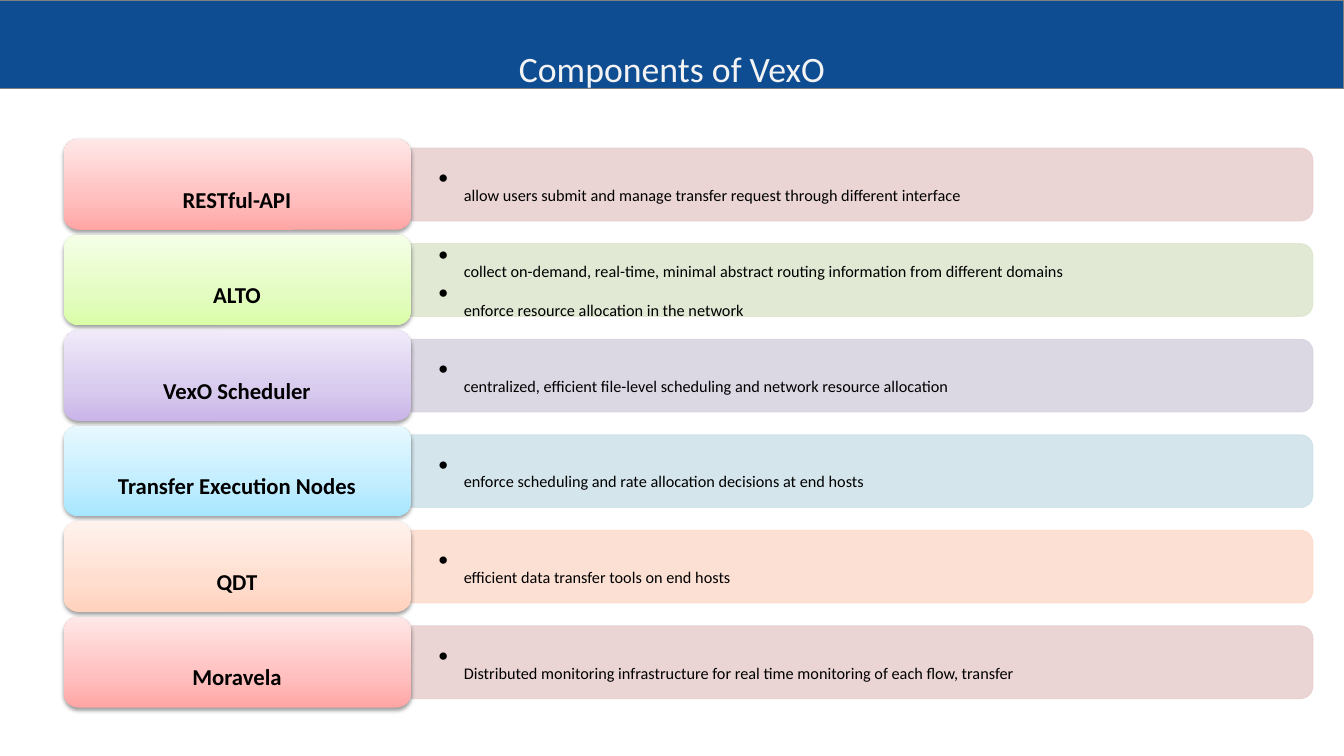
from dataclasses import dataclass

from lxml import etree
from pptx import Presentation, util as u
from pptx.dml.color import RGBColor
from pptx.enum import shapes, text
from pptx.oxml import ns


@dataclass(frozen=True)
class Theme:
    font: str = "Calibri"
    title_size: int = 44
    label_size: int = 28
    detail_size: int = 20
    title: str = "F3F3F3"
    ink: str = "000000"
    band: str = "0F4D92"
    band_line: str = "808080"
    red: tuple = ("E8D0D0", "FFA6A5", "FFC0BF", "FFE7E7")
    green: tuple = ("DEE7D1", "DAFDA7", "E4FCC2", "F5FFE7")
    purple: tuple = ("D8D3E0", "C9B5E8", "D8CBEE", "F0EAF9")
    blue: tuple = ("D0E3EA", "A7E6FF", "C1EDFF", "E7F8FF")
    orange: tuple = ("FCDDCF", "FFD2BD", "FFDED0", "FFF2ED")


def add(parent, tag, **attrs):
    return etree.SubElement(parent, ns.qn(tag), {k: str(v) for k, v in attrs.items()})


def write(p, content, *, font, size, color, bold=False, align=None,
          spacing=None, after=None, bullet=False):
    p.alignment = align
    if spacing:
        p.line_spacing = spacing
    pPr = p._p.get_or_add_pPr()
    if after:
        add(add(pPr, "a:spcAft"), "a:spcPct", val=after * 1000)
    if bullet:
        p.level = 1
        pPr.set("marL", str(u.Inches(0.25)))
        pPr.set("indent", str(u.Inches(-0.25)))
        add(pPr, "a:buChar", char="•")
    r = p.add_run()
    r.text = content
    r.font.name = font
    r.font.size = u.Pt(size)
    r.font.bold = bold
    r.font.color.rgb = RGBColor.from_string(color)
    r.font._element.set("baseline", "-25000")


class Deck:
    def __init__(self, theme):
        self.theme = theme
        self.prs = Presentation()
        self.prs.slide_width = u.Inches(13.33)
        self.prs.slide_height = u.Inches(7.5)
        self.s = self.prs.slides.add_slide(self.prs.slide_layouts[6])

    def shape(self, kind, box):
        sp = self.s.shapes.add_shape(kind, *map(u.Inches, box))
        sp.shadow.inherit = False
        return sp

    def solid(self, kind, box, fill, line, alpha=None):
        sp = self.shape(kind, box)
        sp.fill.solid()
        sp.fill.fore_color.rgb = RGBColor.from_string(fill)
        sp.line.color.rgb = RGBColor.from_string(line)
        sp.line.width = u.Pt(0.75)
        if alpha:
            for clr in sp._element.spPr.iter(ns.qn("a:srgbClr")):
                add(clr, "a:alpha", val=alpha * 1000)
        return sp

    def text(self, box, lines, size, color, insets=(0.1, 0.05),
             anchor=text.MSO_ANCHOR.MIDDLE, **fmt):
        tf = self.s.shapes.add_textbox(*map(u.Inches, box)).text_frame
        tf.word_wrap = True
        tf.vertical_anchor = anchor
        tf.margin_left = tf.margin_right = u.Inches(insets[0])
        tf.margin_top = tf.margin_bottom = u.Inches(insets[1])
        for i, line in enumerate(lines):
            p = tf.add_paragraph() if i else tf.paragraphs[0]
            write(p, line, font=self.theme.font, size=size, color=color, **fmt)
        return tf

    def title(self, content):
        t = self.theme
        self.solid(shapes.MSO_SHAPE.RECTANGLE, (0, 0, 13.33, 0.88), t.band, t.band_line)
        tf = self.text((0, 0.01, 13.33, 0.84), [content], t.title_size, t.title,
                       anchor=text.MSO_ANCHOR.TOP, align=text.PP_ALIGN.CENTER)
        tf.auto_size = text.MSO_AUTO_SIZE.SHAPE_TO_FIT_TEXT

    def bar(self, middle, color, details):
        left, width, height = 4.08, 8.94, 0.72
        sp = self.solid(shapes.MSO_SHAPE.ROUND_2_SAME_RECTANGLE,
                        (left + (width - height) / 2, middle - width / 2, height, width),
                        color, color, alpha=90)
        sp.rotation = 90
        self.text((left, middle - 0.33, 8.91, 0.65), details, self.theme.detail_size,
                  self.theme.ink, insets=(0.27, 0.14), spacing=0.9, after=15, bullet=True)

    def label(self, middle, stops, content):
        sp = self.shape(shapes.MSO_SHAPE.ROUNDED_RECTANGLE, (0.63, middle - 0.45, 3.45, 0.9))
        sp.line.fill.background()
        spPr = sp._element.spPr
        grad = etree.Element(ns.qn("a:gradFill"), rotWithShape="1")
        gs_list = add(grad, "a:gsLst")
        for pos, color in zip((0, 35, 100), stops):
            add(add(gs_list, "a:gs", pos=pos * 1000), "a:srgbClr", val=color)
        add(grad, "a:lin", ang=270 * 60000, scaled=1)
        spPr.find(ns.qn("a:prstGeom")).addnext(grad)
        shadow = add(spPr.find(ns.qn("a:effectLst")), "a:outerShdw", blurRad=u.Pt(3.1),
                     dist=u.Pt(1.6), dir=90 * 60000, rotWithShape=0)
        add(add(shadow, "a:srgbClr", val=self.theme.ink), "a:alpha", val=38000)
        self.text((0.67, middle - 0.41, 3.36, 0.81), [content], self.theme.label_size,
                  self.theme.ink, insets=(0.12, 0.06), bold=True,
                  align=text.PP_ALIGN.CENTER, spacing=0.9, after=35)


def main():
    t = Theme()
    deck = Deck(t)
    deck.title("Components of VexO")
    components = [
        ("RESTful-API", t.red,
         ["allow users submit and manage transfer request through different interface"]),
        ("ALTO", t.green,
         ["collect on-demand, real-time, minimal abstract routing information from different domains",
          "enforce resource allocation in the network"]),
        ("VexO Scheduler", t.purple,
         ["centralized, efficient file-level scheduling and network resource allocation"]),
        ("Transfer Execution Nodes", t.blue,
         ["enforce scheduling and rate allocation decisions at end hosts"]),
        ("QDT", t.orange, ["efficient data transfer tools on end hosts"]),
        ("Moravela", t.red,
         ["Distributed monitoring infrastructure for real time monitoring of each flow, transfer"]),
    ]
    first, last = 1.83, 6.57
    pitch = (last - first) / (len(components) - 1)
    for i, (name, (bar_color, *stops), details) in enumerate(components):
        middle = first + i * pitch
        deck.bar(middle, bar_color, details)
        deck.label(middle, stops, name)
    deck.prs.save("out.pptx")


if __name__ == "__main__":
    main()
